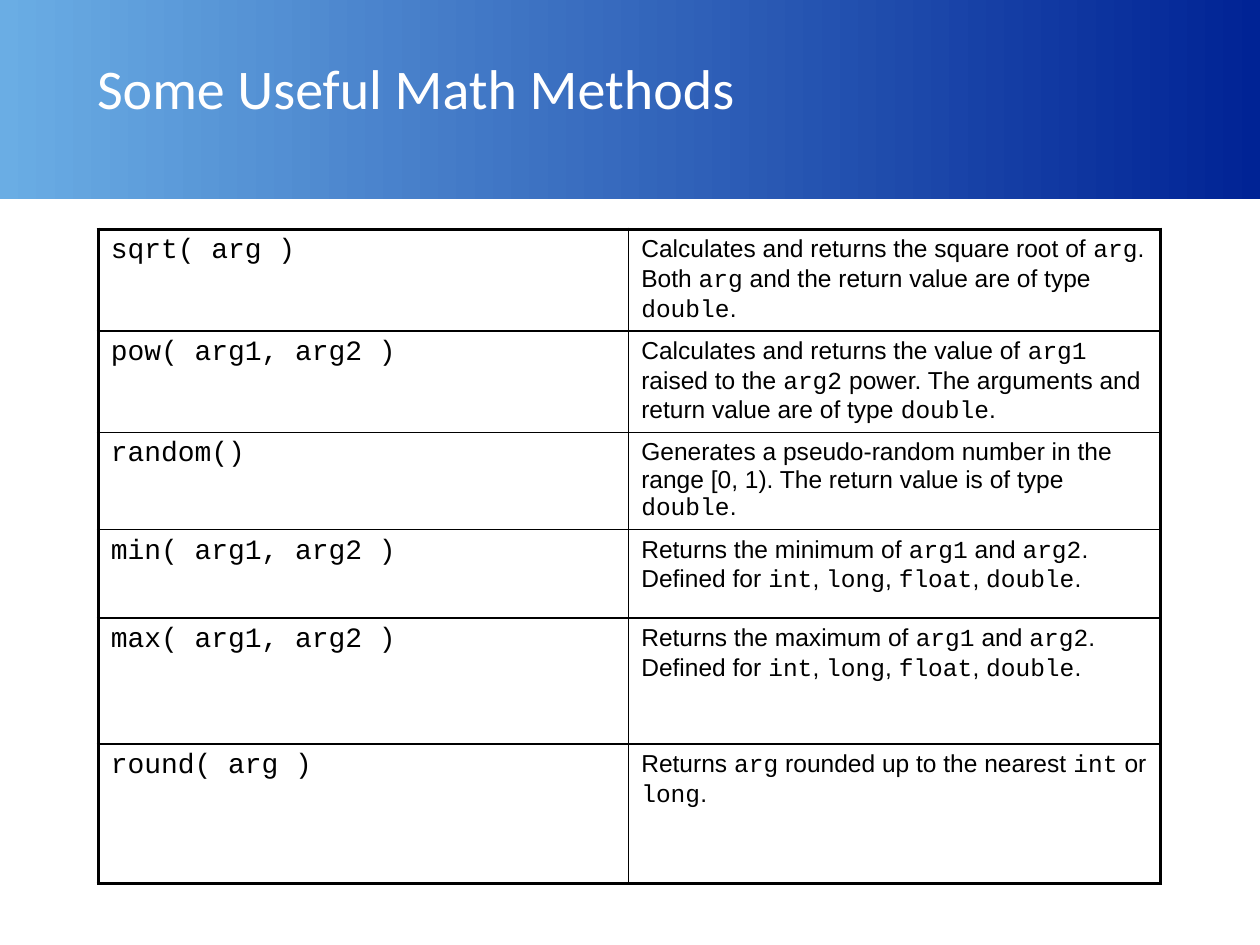
from lxml import etree
from pptx import Presentation
from pptx.dml.color import RGBColor
from pptx.enum import shapes, text
from pptx.oxml.ns import qn
from pptx.util import Inches, Pt

SKY = RGBColor(0x6A, 0xAD, 0xE4)
NAVY = RGBColor(0x00, 0x23, 0x95)
WHITE = RGBColor(0xFF, 0xFF, 0xFF)
BLACK = RGBColor(0x00, 0x00, 0x00)

THIN, THICK = 1, 2.25
COL_WIDTHS = [4.21, 4.22]
ROW_HEIGHTS = [0.75, 0.75, 0.75, 0.7, 1, 1.11]

# Backticks mark code words.
TYPES = "Defined for `int`, `long`, `float`, `double`."
METHODS = [
    ("`sqrt( arg )`",
     "Calculates and returns the square root of `arg`. Both `arg` and the "
     "return value are of type `double`."),
    ("`pow( arg1, arg2 )`",
     "Calculates and returns the value of `arg1` raised to the `arg2` power. "
     "The arguments and return value are of type `double`."),
    ("`random()`",
     "Generates a pseudo-random number in the range [0, 1). "
     "The return value is of type `double`."),
    ("`min( arg1, arg2 )`",
     "Returns the minimum of `arg1` and `arg2`. " + TYPES),
    ("`max( arg1, arg2 )`",
     "Returns the maximum of `arg1` and `arg2`. " + TYPES),
    ("`round( arg )`",
     "Returns `arg` rounded up to the nearest `int` or `long`."),
]


def add_run(p, words, font, size, color):
    r = p.add_run()
    r.text = words
    r.font.name = font
    r.font.size = Pt(size)
    r.font.color.rgb = color


def add_marked_text(p, marked, size):
    """Add runs, setting the parts between backticks in the code font."""
    for i, words in enumerate(marked.split("`")):
        if words:
            add_run(p, words, "Courier New" if i % 2 else "Arial", size, BLACK)


def add_band(s, width):
    sp = s.shapes.add_shape(shapes.MSO_SHAPE.RECTANGLE, 0, 0, width, Inches(1.58))
    sp.shadow.inherit = False
    sp.line.fill.background()
    sp.fill.gradient()
    sp.fill.gradient_angle = 0
    for stop, color, position in zip(sp.fill.gradient_stops, (SKY, NAVY), (0, 1)):
        stop.color.rgb = color
        stop.position = position
    s.shapes._spTree.insert(2, sp._element)  # behind the title


def set_title(s, words):
    sp = s.shapes.title
    sp.left, sp.top, sp.width, sp.height = map(Inches, (0.67, 0.38, 9, 0.62))
    tf = sp.text_frame
    tf.vertical_anchor = text.MSO_ANCHOR.MIDDLE
    p = tf.paragraphs[0]
    p.alignment = text.PP_ALIGN.LEFT
    add_run(p, words, "Calibri", 32, WHITE)


def set_borders(cell, widths):
    """Draw black borders; widths maps L, R, T and B to points."""
    tc_pr = cell._tc.get_or_add_tcPr()
    for side, width in widths.items():
        ln = etree.SubElement(tc_pr, qn(f"a:ln{side}"), w=str(int(Pt(width))))
        fill = etree.SubElement(ln, qn("a:solidFill"))
        etree.SubElement(fill, qn("a:srgbClr"), val=str(BLACK))


def add_methods_table(s):
    n_rows, n_cols = len(METHODS), len(COL_WIDTHS)
    table = s.shapes.add_table(
        n_rows, n_cols, Inches(0.78), Inches(1.82),
        Inches(sum(COL_WIDTHS)), Inches(sum(ROW_HEIGHTS))).table
    table.first_row = table.horz_banding = False
    for column, width in zip(table.columns, COL_WIDTHS):
        column.width = Inches(width)
    for i, (row, height) in enumerate(zip(table.rows, ROW_HEIGHTS)):
        row.height = Inches(height)
        for j, cell in enumerate(row.cells):
            set_borders(cell, {
                "L": THICK if j == 0 else THIN,
                "R": THICK if j == n_cols - 1 else THIN,
                "T": THICK if i == 0 else THIN,
                "B": THICK if i == n_rows - 1 else THIN,
            })
            cell.fill.background()
            add_marked_text(cell.text_frame.paragraphs[0], METHODS[i][j],
                            16 if j == 0 else 14)


def main():
    prs = Presentation()
    prs.slide_width, prs.slide_height = Inches(10), Inches(7.5)
    s = prs.slides.add_slide(prs.slide_layouts[5])
    add_band(s, prs.slide_width)
    set_title(s, "Some Useful Math Methods")
    add_methods_table(s)
    prs.save("out.pptx")


if __name__ == "__main__":
    main()
